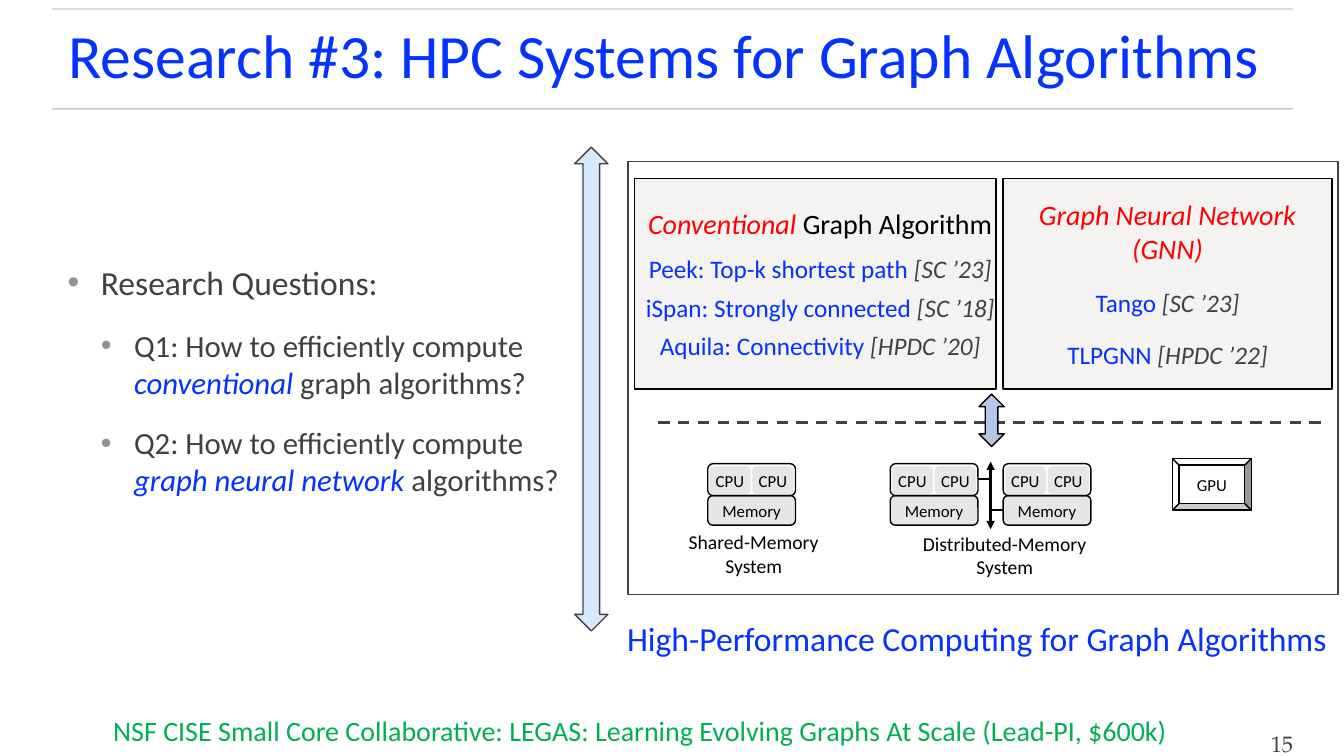
from lxml.etree import SubElement
from pptx import Presentation
from pptx.dml.color import RGBColor
from pptx.enum.dml import MSO_LINE
from pptx.enum.shapes import MSO_CONNECTOR, MSO_SHAPE
from pptx.enum.text import MSO_ANCHOR, PP_ALIGN
from pptx.oxml.ns import qn
from pptx.util import Inches, Pt

COLORS = {
    "title": "0433FF", "blue": "0432FF", "red": "FF0000", "green": "00B050",
    "text": "414141", "black": "000000", "white": "FFFFFF", "rule": "444444",
    "bullet": "929292", "chip": "E7E6E6", "card": "F4F3F1",
    "pale_arrow": "D6E9FF", "arrow": "B4C7E7",
}
COLS, ROWS = 133.3, 75  # grid cells on the slide
CELL = Inches(0.1)


def color(name):
    return RGBColor.from_string(COLORS[name])


def cells(*values):
    return [round(v * CELL) for v in values]


# ---- Basic parts ----
def write(sp, paragraphs, size=12, font="Calibri", align=PP_ALIGN.CENTER,
          anchor=MSO_ANCHOR.MIDDLE, insets=(0, 0.5, 0, 0.5)):
    """Each paragraph is (runs, size, space before); a run is (text, colour, italic)."""
    tf = sp.text_frame
    tf.word_wrap = True
    tf.vertical_anchor = anchor
    tf.margin_left, tf.margin_top, tf.margin_right, tf.margin_bottom = cells(*insets)
    for i, (runs, p_size, before) in enumerate(paragraphs):
        p = tf.add_paragraph() if i else tf.paragraphs[0]
        p.alignment = align
        if before:
            p.space_before = Pt(before)
        for text, shade, italic in runs:
            r = p.add_run()
            r.text = text
            r.font.name = font
            r.font.size = Pt(p_size or size)
            r.font.italic = italic
            r.font.color.rgb = color(shade)
    return tf


def line_of(text, shade="black"):
    return [([(text, shade, False)], None, 0)]


def add_text(s, box, paragraphs, **style):
    return write(s.shapes.add_textbox(*cells(*box)), paragraphs, **style)


def add_box(s, kind, box, fill=None, line=None):
    sp = s.shapes.add_shape(kind, *cells(*box))
    sp.shadow.inherit = False
    if fill:
        sp.fill.solid()
        sp.fill.fore_color.rgb = color(fill)
    else:
        sp.fill.background()
    if line:
        sp.line.color.rgb = color(line)
        sp.line.width = Pt(1)
    else:
        sp.line.fill.background()
    return sp


def add_line(s, x1, y1, x2, y2, shade="black", width=1.0):
    cn = s.shapes.add_connector(MSO_CONNECTOR.STRAIGHT, *cells(x1, y1, x2, y2))
    cn.line.color.rgb = color(shade)
    cn.line.width = Pt(width)
    SubElement(cn._element.spPr, qn("a:effectLst"))
    return cn


# ---- Regions ----
def title_bar(s, x, y, w, h):
    for rule_y in (y, y + h):
        cn = add_line(s, x, rule_y, x + w, rule_y, "rule")
        fill = cn.line._ln.find(qn("a:solidFill"))
        SubElement(fill[0], qn("a:alpha"), val="30000")
    tf = add_text(s, (0, y + 0.4, COLS - 1.5, h - 0.8),
                  line_of("Research #3: HPC Systems for Graph Algorithms", "title"),
                  size=44, insets=(0.6,) * 4)
    tf.paragraphs[0].line_spacing = 0.9


def research_questions(s, x, y, w, h):
    start = "How to efficiently compute "
    tf = add_text(s, (x, y, w, h), [
        ([("Research Questions:", "text", False)], 24, 0),
        ([("Q1: " + start, "text", False), ("conventional", "blue", True),
          (" graph algorithms?", "text", False)], 22, 17),
        ([("Q2: " + start, "text", False), ("graph neural network ", "blue", True),
          ("algorithms?", "text", False)], 22, 17),
    ], align=PP_ALIGN.LEFT, insets=(0.6,) * 4)
    for level, p in enumerate(tf.paragraphs):
        p.level = min(level, 1)
        pPr = p._p.get_or_add_pPr()
        pPr.set("marL", str(Inches(0.33 * (p.level + 1))))
        pPr.set("indent", str(-Inches(0.33)))
        shade = SubElement(pPr, qn("a:buClr"))
        SubElement(shade, qn("a:srgbClr"), val=COLORS["bullet"])
        SubElement(pPr, qn("a:buFont"), typeface="Arial")
        SubElement(pPr, qn("a:buChar"), char="•")


def algorithm_card(s, box, paragraphs, left_inset=0):
    sp = add_box(s, MSO_SHAPE.RECTANGLE, box, "card", "black")
    write(sp, paragraphs, size=18, insets=(left_inset, 0.5, 0, 0.5))


def paper(name, venue, before):
    return [(name, "blue", False), (venue, "text", True)], 18, before


def compute_node(s, x, y, w, h):
    """Two CPUs in a frame on top of a memory block."""
    top = h * 0.52
    rounded = MSO_SHAPE.ROUNDED_RECTANGLE
    write(add_box(s, rounded, (x, y + top, w, h - top), "chip", "black"),
          line_of("Memory"))
    for i in range(2):
        cpu = add_box(s, rounded, (x + 0.15 + i * w * 0.49, y + 0.25, w * 0.47, 2.8), "chip")
        write(cpu, line_of("CPU"))
    add_box(s, rounded, (x, y, w, top), line="black")


def system_label(s, box, text):
    add_text(s, box, line_of(text), size=14, anchor=MSO_ANCHOR.TOP, insets=(0.5,) * 4)


def hardware(s, x, y, w, h):
    node_w, node_h = 8.7, 6.1
    # Shared memory
    compute_node(s, x + 7.9, y, node_w, node_h)
    system_label(s, (x + 5, y + h * 0.47, 14.9, 5.7), "Shared-Memory System")
    # Distributed memory
    first, second = x + 26, x + 37.2
    for node_x in (first, second):
        compute_node(s, node_x, y, node_w, node_h)
    bus = (first + node_w + second) / 2
    cn = add_line(s, bus, y - 0.2, bus, y + 6.5, width=1.75)
    for end in ("a:headEnd", "a:tailEnd"):
        SubElement(cn.line._ln, qn(end), type="triangle")
    add_line(s, first + node_w, y + 1.5, bus, y + 1.5, width=1.25)
    add_line(s, bus, y + 4.6, second, y + 4.6, width=1.25)
    system_label(s, (x + 26.9, y + h * 0.48, 20.9, 5.7), "Distributed-Memory System")
    # Accelerator
    gpu = add_box(s, MSO_SHAPE.BEVEL, (x + 54, y - 0.5, 7.8, 5.1), "white", "black")
    write(gpu, line_of("GPU"))


def hpc_panel(s, x, y, w, h):
    add_box(s, MSO_SHAPE.RECTANGLE, (x, y, w, h), line="text")
    card_h, pad = 20.9, 0.6
    card_y = y + 1.7
    # Algorithms
    algorithm_card(s, (x + pad, card_y, 35.9, card_h), [
        ([("Conventional", "red", True), (" Graph Algorithm", "black", False)], 20, 0),
        paper("Peek: Top-k shortest path ", "[SC ’23]", 9.5),
        paper("iSpan: Strongly connected ", "[SC ’18]", 6),
        paper("Aquila: Connectivity ", "[HPDC ’20]", 6),
    ], left_inset=1)
    algorithm_card(s, (x + w - pad - 32.6, card_y, 32.6, card_h), [
        ([("Graph Neural Network (GNN)", "red", True)], 20, 0),
        paper("Tango", " [SC ’23]", 16),
        paper("TLPGNN ", "[HPDC ’22]", 16),
    ])
    # Boundary between algorithms and hardware
    split = y + 25.9
    cn = add_line(s, x + 3, split, x + w - 1.4, split, "text", 2)
    cn.line.dash_style = MSO_LINE.DASH
    add_box(s, MSO_SHAPE.UP_DOWN_ARROW, (x + 34.8, split - 2.8, 2.5, 5.2), "arrow", "black")
    hardware(s, x, y + 30, w, h - 30)
    # Caption
    add_text(s, (x - pad, y + h + 1.5, w, 5.7),
             line_of("High-Performance Computing for Graph Algorithms", "blue"), size=24)


def footer(s, x, y, w, h):
    add_text(s, (x, y, w, h), line_of(
        "NSF CISE Small Core Collaborative: LEGAS: Learning Evolving Graphs "
        "At Scale (Lead-PI, $600k)", "green"), size=20)
    add_text(s, (x + w + 1.2, y + 2.3, 4.9, 3), line_of("15", "text"), size=16,
             font="TeX Gyre Pagella", anchor=MSO_ANCHOR.TOP)


def main():
    prs = Presentation()
    prs.slide_width, prs.slide_height = cells(COLS, ROWS)
    s = prs.slides.add_slide(prs.slide_layouts[6])
    title_bar(s, 5.2, 0.9, 123, 9.9)
    hpc_panel(s, 62.3, 16, 70.4, 43)
    research_questions(s, 6.1, 13.6, 51.1, 48.2)
    add_box(s, MSO_SHAPE.UP_DOWN_ARROW, (57, 14.6, 3.3, 48), "pale_arrow", "text")
    footer(s, 3.5, 69.6, 120, 5.7)
    prs.save("out.pptx")


if __name__ == "__main__":
    main()
